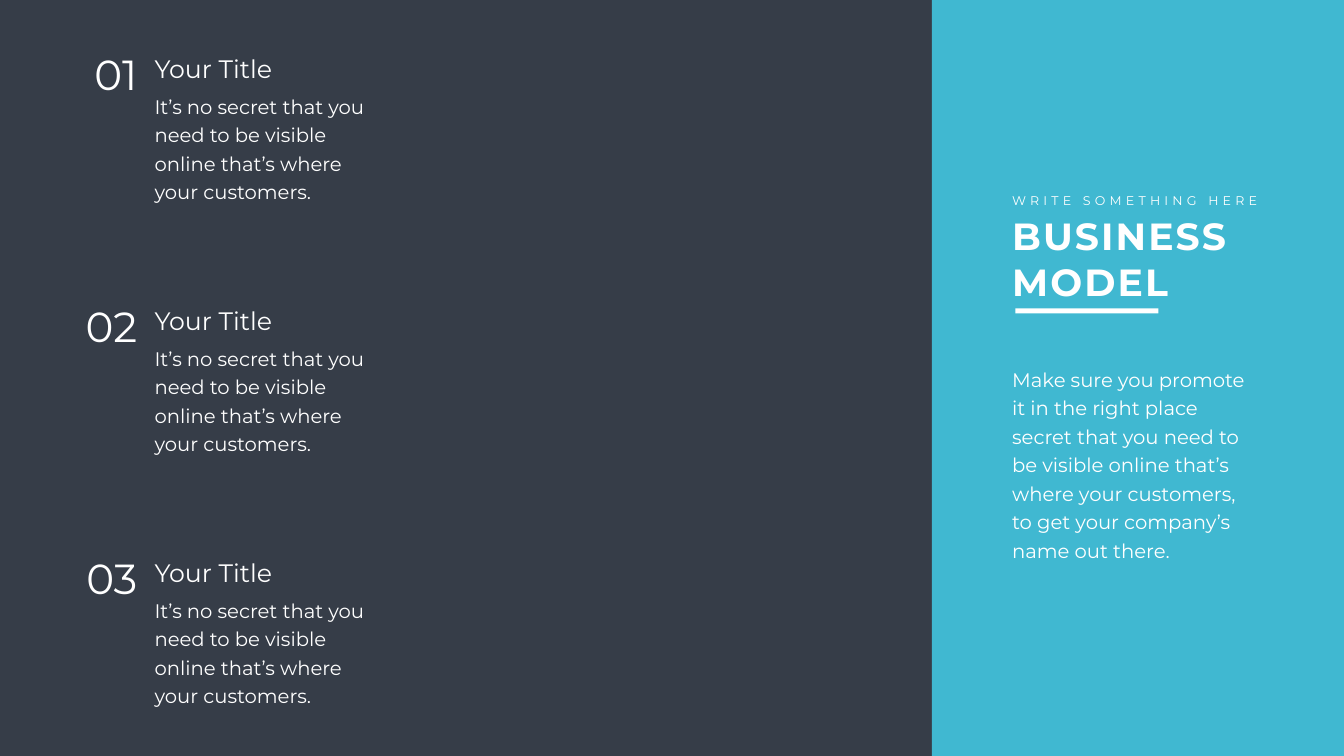
from dataclasses import dataclass

from pptx import Presentation
from pptx.dml.color import RGBColor
from pptx.enum.shapes import MSO_SHAPE
from pptx.enum.text import MSO_AUTO_SIZE, PP_ALIGN
from pptx.util import Cm, Pt


@dataclass(frozen=True)
class Theme:
    font: str = "Montserrat"
    background: RGBColor = RGBColor(0x36, 0x3D, 0x48)
    accent: RGBColor = RGBColor(0x40, 0xB8, 0xD1)
    light: RGBColor = RGBColor(0xFF, 0xFF, 0xFF)
    number: int = 60
    heading: int = 54
    item_title: int = 36
    body: int = 28
    tagline: int = 18
    body_leading: float = 40.8


THEME = Theme()
SLIDE_WIDTH, SLIDE_HEIGHT = 67.72, 38.1
PANEL_LEFT = 46.96
PANEL_TEXT_LEFT = 50.75
ITEM_TEXT_LEFT = 7.54
ITEM_PITCH = 12.7
ITEM_TITLE = "Your Title"
ITEM_BODY = "It’s no secret that you need to be visible online that’s where your customers."
PANEL_BODY = (
    "Make sure you promote it in the right place secret that you need to be visible "
    "online that’s where your customers, to get your company’s name out there."
)


def add_rectangle(shapes, left, top, width, height, color):
    shape = shapes.add_shape(MSO_SHAPE.RECTANGLE, Cm(left), Cm(top), Cm(width), Cm(height))
    shape.shadow.inherit = False
    shape.fill.solid()
    shape.fill.fore_color.rgb = color
    shape.line.fill.background()


def add_text(shapes, text, left, top, width, height, size, bold=False,
             align=PP_ALIGN.LEFT, tracking=0, leading=None, wrap=True):
    """Add a one-paragraph text box; tracking and leading are in points."""
    text_frame = shapes.add_textbox(Cm(left), Cm(top), Cm(width), Cm(height)).text_frame
    text_frame.word_wrap = wrap
    text_frame.auto_size = MSO_AUTO_SIZE.SHAPE_TO_FIT_TEXT
    text_frame.text = text
    paragraph = text_frame.paragraphs[0]
    paragraph.alignment = align
    if leading:
        paragraph.line_spacing = Pt(leading)
    run = paragraph.runs[0]
    run.font.name = THEME.font
    run.font.size = Pt(size)
    run.font.bold = bold
    run.font.color.rgb = THEME.light
    if tracking:
        run._r.get_or_add_rPr().set("spc", str(tracking * 100))


def add_body(shapes, text, left, top, width, height):
    add_text(shapes, text, left, top, width, height, THEME.body, leading=THEME.body_leading)


def add_panel(slide):
    shapes = slide.shapes.add_group_shape().shapes
    add_rectangle(shapes, PANEL_LEFT, 0, SLIDE_WIDTH - PANEL_LEFT, SLIDE_HEIGHT, THEME.accent)
    add_text(shapes, "BUSINESS MODEL", PANEL_TEXT_LEFT, 10.62, 13.13, 4.88,
             THEME.heading, bold=True, tracking=3)
    add_text(shapes, "WRITE SOMETHING HERE", PANEL_TEXT_LEFT, 9.6, 13.16, 1.02,
             THEME.tagline, tracking=6, wrap=False)
    add_rectangle(shapes, 51.16, 15.54, 7.21, 0.25, THEME.light)
    add_body(shapes, PANEL_BODY, PANEL_TEXT_LEFT, 18.14, 12.27, 10.36)


def add_item(slide, index):
    """Add the numbered item of the given zero-based row."""
    shapes = slide.shapes.add_group_shape().shapes
    offset = index * ITEM_PITCH
    add_body(shapes, ITEM_BODY, ITEM_TEXT_LEFT, offset + 4.39, 11.35, 5.97)
    add_text(shapes, ITEM_TITLE, ITEM_TEXT_LEFT, offset + 2.54, 6.81, 1.8, THEME.item_title)
    add_text(shapes, f"{index + 1:02}", 3.33, offset + 2.31, 3.84, 2.82,
             THEME.number, align=PP_ALIGN.RIGHT)


def main():
    presentation = Presentation()
    presentation.slide_width = Cm(SLIDE_WIDTH)
    presentation.slide_height = Cm(SLIDE_HEIGHT)
    slide = presentation.slides.add_slide(presentation.slide_layouts[6])
    slide.background.fill.solid()
    slide.background.fill.fore_color.rgb = THEME.background
    add_panel(slide)
    for index in range(3):
        add_item(slide, index)
    presentation.save("out.pptx")


if __name__ == "__main__":
    main()
